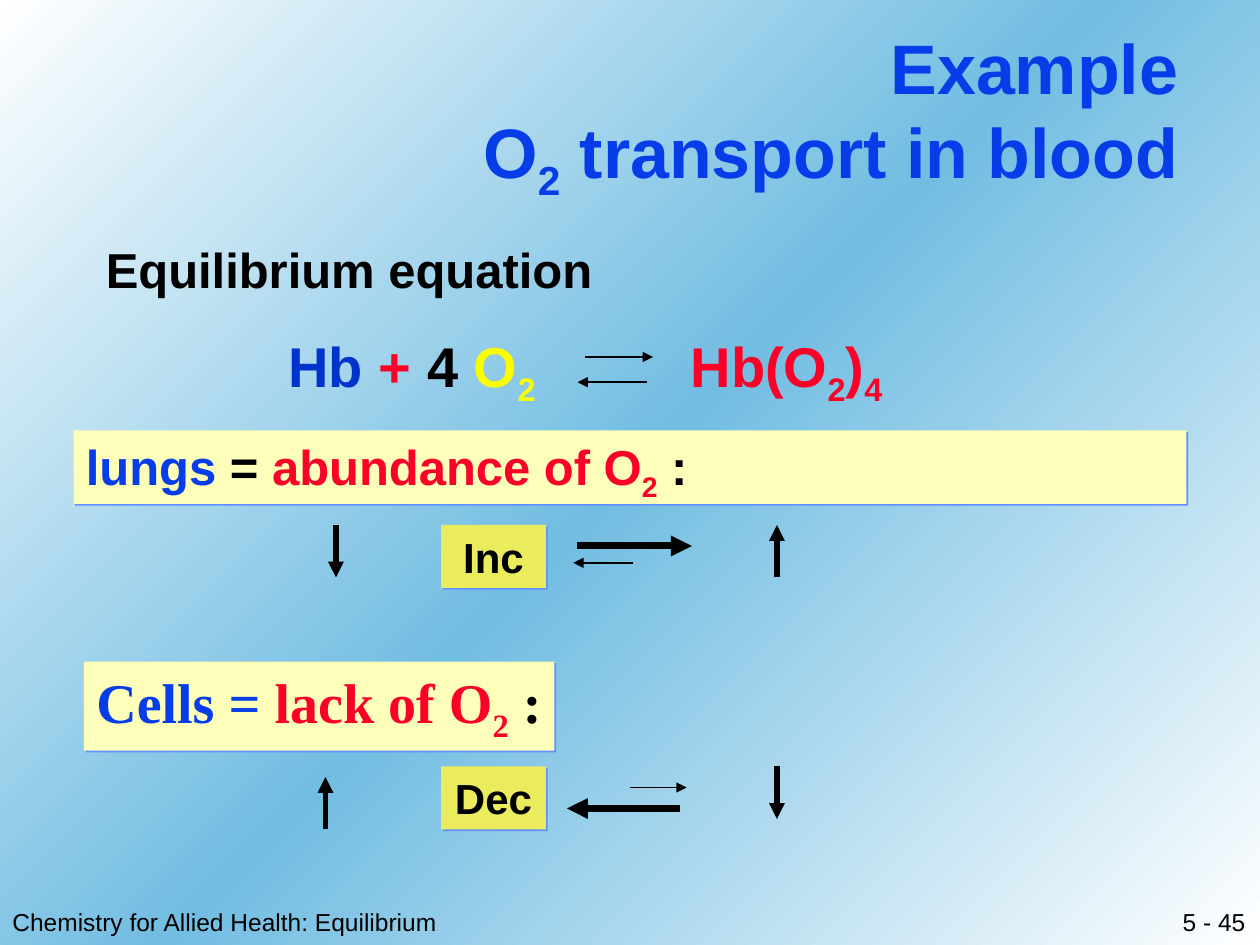
import copy

import pptx
import pptx.dml.color
import pptx.enum.shapes
import pptx.enum.text
import pptx.oxml
import pptx.oxml.ns
import pptx.util

RGBColor = pptx.dml.color.RGBColor
ALIGN = pptx.enum.text.PP_ALIGN
ANCHOR = pptx.enum.text.MSO_ANCHOR
qn = pptx.oxml.ns.qn

BLACK = RGBColor(0x00, 0x00, 0x00)
WHITE = RGBColor(0xFF, 0xFF, 0xFF)
SKY = RGBColor(0x72, 0xBD, 0xE2)
BLUE = RGBColor(0x06, 0x3D, 0xE8)
NAVY = RGBColor(0x00, 0x33, 0xCC)
RED = RGBColor(0xFC, 0x01, 0x28)
YELLOW = RGBColor(0xFA, 0xFD, 0x00)
CREAM = RGBColor(0xFC, 0xFE, 0xB9)
OLIVE = RGBColor(0xEA, 0xEC, 0x5E)
SHADOW = RGBColor(0x61, 0x8F, 0xFD)

COLUMNS, ROWS = 120, 90
SUB = True


class Painter:
    """Holds the style and the current page; lengths are grid columns and rows."""

    def __init__(self, deck, font="Arial"):
        self.font = font
        self.column = deck.slide_width / COLUMNS
        self.row = deck.slide_height / ROWS
        self.page = deck.slides.add_slide(deck.slide_layouts[5])

    def place(self, left, top, width, height):
        return (round(left * self.column), round(top * self.row),
                round(width * self.column), round(height * self.row))

    def background(self, *colors):
        fill = self.page.background.fill
        fill.gradient()
        fill.gradient_angle = 315
        stops = self.page.element.find(".//" + qn("a:gsLst"))
        while len(stops) < len(colors):
            stops.append(copy.deepcopy(stops[0]))
        for index, (stop, color) in enumerate(zip(fill.gradient_stops, colors)):
            stop.color.rgb = color
            stop.position = index / (len(colors) - 1)

    def add_spans(self, box, spans, size, align=ALIGN.LEFT, anchor=ANCHOR.TOP,
                  bold=True, font=None, tab=None):
        """Fill a box with (text, colour[, SUB]) spans; a newline breaks the line."""
        frame = box.text_frame
        frame.word_wrap = True
        frame.auto_size = pptx.enum.text.MSO_AUTO_SIZE.NONE
        frame.vertical_anchor = anchor
        if align == ALIGN.LEFT:
            frame.margin_right = 0
        para = frame.paragraphs[0]
        para.alignment = align
        if tab:
            stops = pptx.oxml.parse_xml(
                f'<a:tabLst {pptx.oxml.ns.nsdecls("a")}>'
                f'<a:tab pos="{round(tab * self.column)}" algn="l"/></a:tabLst>')
            para._p.get_or_add_pPr().append(stops)
        for text, color, *sub in spans:
            if text == "\n":
                para.add_line_break()
                continue
            span = para.add_run()
            span.text = text
            span.font.name = font or self.font
            span.font.size = pptx.util.Pt(size)
            span.font.bold = bold
            span.font.color.rgb = color
            if sub:
                span._r.get_or_add_rPr().set("baseline", "-25000")
        return para

    def title(self, area, spans, size):
        box = self.page.shapes.title
        box.left, box.top, box.width, box.height = self.place(*area)
        para = self.add_spans(box, spans, size, ALIGN.RIGHT, ANCHOR.MIDDLE)
        para.line_spacing = 0.9

    def text(self, area, spans, size, **style):
        box = self.page.shapes.add_textbox(*self.place(*area))
        self.add_spans(box, spans, size, **style)

    def panel(self, area, color, spans, size, **style):
        """A filled rectangle with a thin hard shadow."""
        box = self.page.shapes.add_shape(
            pptx.enum.shapes.MSO_SHAPE.RECTANGLE, *self.place(*area))
        box.shadow.inherit = False
        box.fill.solid()
        box.fill.fore_color.rgb = color
        box.line.fill.background()
        box.element.spPr.find(qn("a:effectLst")).append(pptx.oxml.parse_xml(
            f'<a:outerShdw {pptx.oxml.ns.nsdecls("a")} dist="17780" dir="2700000" '
            f'algn="ctr" rotWithShape="0"><a:srgbClr val="{SHADOW}"/></a:outerShdw>'))
        self.add_spans(box, spans, size, **style)

    def arrow(self, start, end, weight):
        line = self.page.shapes.add_connector(
            pptx.enum.shapes.MSO_CONNECTOR.STRAIGHT, *self.place(*start, *end))
        line.line.color.rgb = BLACK
        line.line.width = pptx.util.Pt(weight)
        properties = line.element.spPr
        outline = properties.find(qn("a:ln"))
        outline.append(outline.makeelement(qn("a:tailEnd"), {"type": "triangle"}))
        properties.append(properties.makeelement(qn("a:effectLst"), {}))


def main():
    deck = pptx.Presentation()
    deck.slide_width = pptx.util.Inches(10)
    deck.slide_height = pptx.util.Inches(7.5)
    painter = Painter(deck)
    painter.background(WHITE, SKY, WHITE)

    painter.text((105.6, 85.8, 14.2, 4), [("5 - 45", BLACK)], 14,
                 align=ALIGN.RIGHT, bold=False)
    painter.text((0, 85.8, 43, 4),
                 [("Chemistry for Allied Health: Equilibrium", BLACK)], 14, bold=False)
    painter.title((20, 4.7, 93.4, 12.4),
                  [("Example", BLUE), ("\n", BLUE), ("O", BLUE), ("2", BLUE, SUB),
                   (" transport in blood", BLUE)], 40)

    painter.text((8.9, 22.2, 48.7, 6.7), [("Equilibrium equation", BLACK)], 28)
    painter.text((26.3, 31, 59, 8.4),
                 [("Hb", NAVY), (" + ", RED), ("4 ", BLACK), ("O", YELLOW),
                  ("2", YELLOW, SUB), ("\t", YELLOW), ("Hb(O", RED), ("2", RED, SUB),
                  (")", RED), ("4", RED, SUB)], 32, tab=38.3)
    painter.panel((7, 41, 106, 7), CREAM,
                  [("lungs", BLUE), (" = ", BLACK), ("abundance of O", RED),
                   ("2", RED, SUB), (" :", BLACK)], 28)
    painter.panel((8, 63, 44.8, 8.5), CREAM,
                  [("Cells = ", BLUE), ("lack of O", RED), ("2", RED, SUB),
                   (" :", BLACK)], 32, font="Times New Roman")
    for top, label in ((50, "Inc"), (73, "Dec")):
        painter.panel((42, top, 10, 6), OLIVE, [(label, BLACK)], 24,
                      align=ALIGN.CENTER, anchor=ANCHOR.MIDDLE)

    reaction_arrows = (
        ((55.7, 34), (62.2, 34), 1), ((61.6, 36.4), (55, 36.4), 1),
        ((55, 52), (65.9, 52), 4), ((60.3, 53.6), (54.6, 53.6), 1),
        ((60, 75), (65.4, 75), 1), ((64.8, 77), (54, 77), 4))
    change_arrows = (
        ((32, 50), (32, 55), 3), ((74, 55), (74, 50), 3),
        ((31, 79), (31, 74), 3), ((74, 73), (74, 78), 3))
    for start, end, weight in reaction_arrows + change_arrows:
        painter.arrow(start, end, weight)

    deck.save("out.pptx")


if __name__ == "__main__":
    main()
